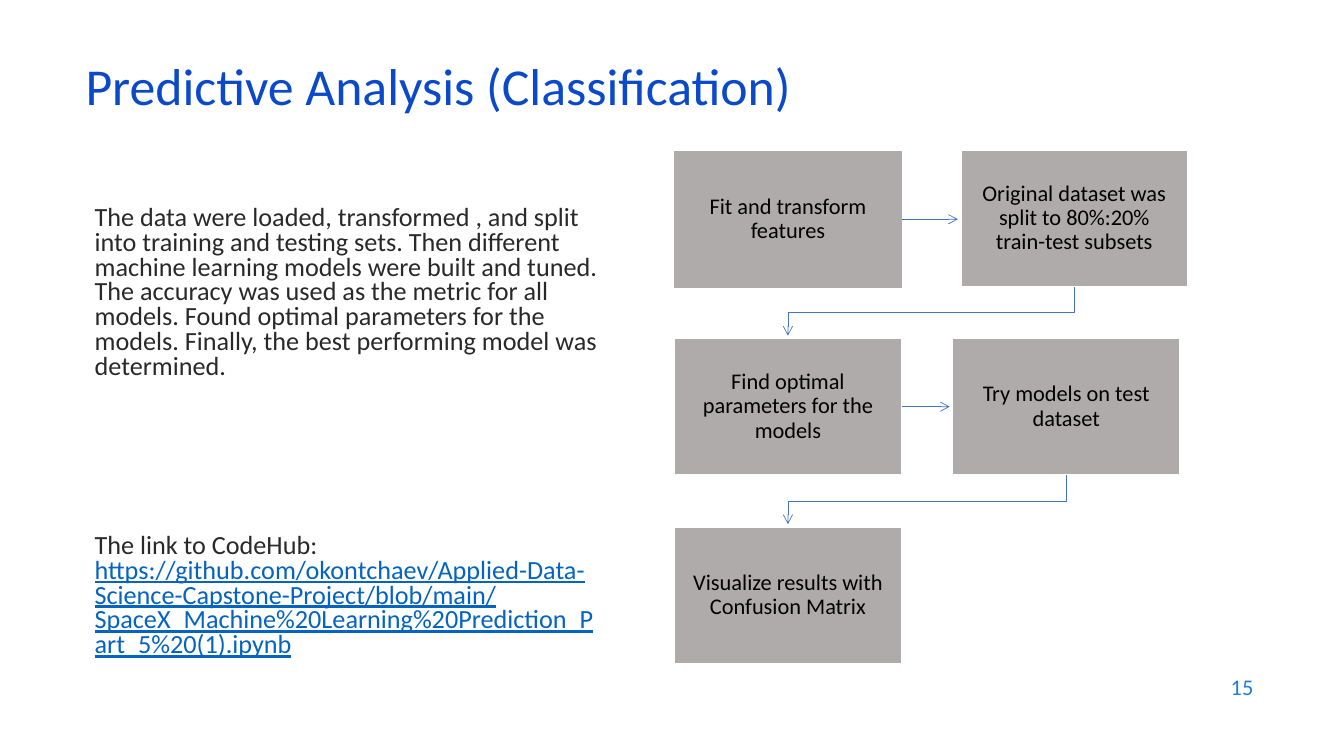
"""Build the predictive analysis slide with its five-step flow."""
from dataclasses import dataclass

from lxml import etree
from pptx import Presentation
from pptx.dml.color import RGBColor
from pptx.enum.shapes import MSO_CONNECTOR, MSO_SHAPE
from pptx.enum.text import MSO_ANCHOR, PP_ALIGN
from pptx.oxml.ns import qn
from pptx.shapes.base import BaseShape
from pptx.slide import Slide
from pptx.text.text import TextFrame
from pptx.util import Inches, Pt

RECTANGLE = MSO_SHAPE.RECTANGLE
STRAIGHT = MSO_CONNECTOR.STRAIGHT
TOP, MIDDLE = MSO_ANCHOR.TOP, MSO_ANCHOR.MIDDLE
LEFT, CENTER, RIGHT = PP_ALIGN.LEFT, PP_ALIGN.CENTER, PP_ALIGN.RIGHT

TITLE_BLUE = RGBColor(0x0B, 0x49, 0xCB)
NUMBER_BLUE = RGBColor(0x1C, 0x7D, 0xDB)
LINK_BLUE = RGBColor(0x05, 0x63, 0xC1)
ARROW_BLUE = RGBColor(0x44, 0x72, 0xC4)
BODY_GRAY = RGBColor(0x29, 0x29, 0x29)
BOX_GRAY = RGBColor(0xAF, 0xAB, 0xAB)
WHITE = RGBColor(0xFF, 0xFF, 0xFF)
BLACK = RGBColor(0x00, 0x00, 0x00)

FONT = "Calibri"
BOX_WIDTH, BOX_HEIGHT = 2.25, 1.35
BODY_TEXT = (
    "The data were loaded, transformed , and split into training and testing sets. "
    "Then different machine learning models were built and tuned. The accuracy was "
    "used as the metric for all models. Found optimal parameters for the models. "
    "Finally, the best performing model was determined."
)
LINK_LABEL = "The link to CodeHub: "
LINK_ADDRESS = (
    "https://github.com/okontchaev/Applied-Data-Science-Capstone-Project/blob/main/"
    "SpaceX_Machine%20Learning%20Prediction_Part_5%20(1).ipynb"
)


@dataclass(frozen=True)
class TextStyle:
    size: float
    color: RGBColor
    align: PP_ALIGN = LEFT
    line_spacing: float = 1.0


@dataclass(frozen=True)
class Step:
    text: str
    left: float
    top: float
    outline: RGBColor = WHITE

    @property
    def right(self) -> float:
        return self.left + BOX_WIDTH

    @property
    def center(self) -> float:
        return self.left + BOX_WIDTH / 2

    @property
    def middle(self) -> float:
        return self.top + BOX_HEIGHT / 2

    @property
    def bottom(self) -> float:
        return self.top + BOX_HEIGHT


TITLE_STYLE = TextStyle(37, TITLE_BLUE, line_spacing=0.7)
BODY_STYLE = TextStyle(18.7, BODY_GRAY, line_spacing=0.79)
NUMBER_STYLE = TextStyle(16, NUMBER_BLUE, RIGHT)
STEP_STYLE = TextStyle(16, BLACK, CENTER, 0.9)

STEPS = (
    Step("Fit and transform features", 6.69, 1.5, BOX_GRAY),
    Step("Original dataset was split to 80%:20% train-test subsets", 9.53, 1.49),
    Step("Find optimal parameters for the models", 6.69, 3.36),
    Step("Try models on test dataset", 9.45, 3.36),
    Step("Visualize results with Confusion Matrix", 6.69, 5.23),
)


def add_paragraph(frame: TextFrame, texts: tuple[str, ...], style: TextStyle,
                  space_before: float = 0) -> None:
    paragraph = frame.paragraphs[0]
    if paragraph.runs:
        paragraph = frame.add_paragraph()
    paragraph.alignment = style.align
    paragraph.line_spacing = style.line_spacing
    if space_before:
        paragraph.space_before = Pt(space_before)
    paragraph.font.name = FONT
    paragraph.font.size = Pt(style.size)
    paragraph.font.color.rgb = style.color
    for text in texts:
        paragraph.add_run().text = text


def add_text_box(slide: Slide, left: float, top: float, width: float, height: float,
                 text: str, style: TextStyle, anchor: MSO_ANCHOR = MIDDLE) -> TextFrame:
    shape = slide.shapes.add_textbox(
        Inches(left), Inches(top), Inches(width), Inches(height))
    frame = shape.text_frame
    frame.word_wrap = True
    frame.vertical_anchor = anchor
    add_paragraph(frame, (text,), style)
    return frame


def add_step(slide: Slide, step: Step) -> None:
    shape = slide.shapes.add_shape(
        RECTANGLE, Inches(step.left), Inches(step.top),
        Inches(BOX_WIDTH), Inches(BOX_HEIGHT))
    shape.shadow.inherit = False
    shape.fill.solid()
    shape.fill.fore_color.rgb = BOX_GRAY
    shape.line.color.rgb = step.outline
    shape.line.width = Pt(1)
    frame = shape.text_frame
    frame.word_wrap = True
    frame.vertical_anchor = MIDDLE
    frame.margin_left = frame.margin_right = Inches(0.12)
    frame.margin_top = frame.margin_bottom = Inches(0.12)
    add_paragraph(frame, (step.text,), STEP_STYLE)


def style_arrow(shape: BaseShape) -> None:
    shape.line.color.rgb = ARROW_BLUE
    shape.line.width = Pt(0.5)
    properties = shape.element.spPr
    etree.SubElement(properties.find(qn("a:ln")), qn("a:tailEnd"), type="arrow")
    etree.SubElement(properties, qn("a:effectLst"))


def add_row_arrow(slide: Slide, start: Step, end: Step) -> None:
    style_arrow(slide.shapes.add_connector(
        STRAIGHT, Inches(start.right), Inches(start.middle),
        Inches(end.left - 0.03), Inches(start.middle)))


def add_return_arrow(slide: Slide, start: Step, end: Step) -> None:
    turn = start.bottom + 0.26
    corners = ((start.center, turn), (end.center, turn), (end.center, end.top - 0.03))
    builder = slide.shapes.build_freeform(Inches(start.center), Inches(start.bottom))
    builder.add_line_segments(
        [(Inches(x), Inches(y)) for x, y in corners], close=False)
    shape = builder.convert_to_shape()
    shape.fill.background()
    style_arrow(shape)


def main() -> None:
    presentation = Presentation()
    presentation.slide_width = Inches(13.33)
    presentation.slide_height = Inches(7.5)
    slide = presentation.slides.add_slide(presentation.slide_layouts[6])

    add_text_box(slide, 0.75, 0.62, 11.5, 0.6,
                 "Predictive Analysis (Classification)", TITLE_STYLE)
    body = add_text_box(slide, 0.84, 2, 5.2, 4.76, BODY_TEXT, BODY_STYLE, TOP)
    add_paragraph(body, (LINK_LABEL, LINK_ADDRESS), BODY_STYLE, space_before=110)
    link = body.paragraphs[1].runs[1]
    link.font.color.rgb = LINK_BLUE
    link.font.underline = True

    for index, (start, end) in enumerate(zip(STEPS, STEPS[1:])):
        add_arrow = add_return_arrow if index % 2 else add_row_arrow
        add_arrow(slide, start, end)
    for step in STEPS:
        add_step(slide, step)

    add_text_box(slide, 9.53, 6.59, 3, 0.44, "15", NUMBER_STYLE)
    presentation.save("out.pptx")


if __name__ == "__main__":
    main()
